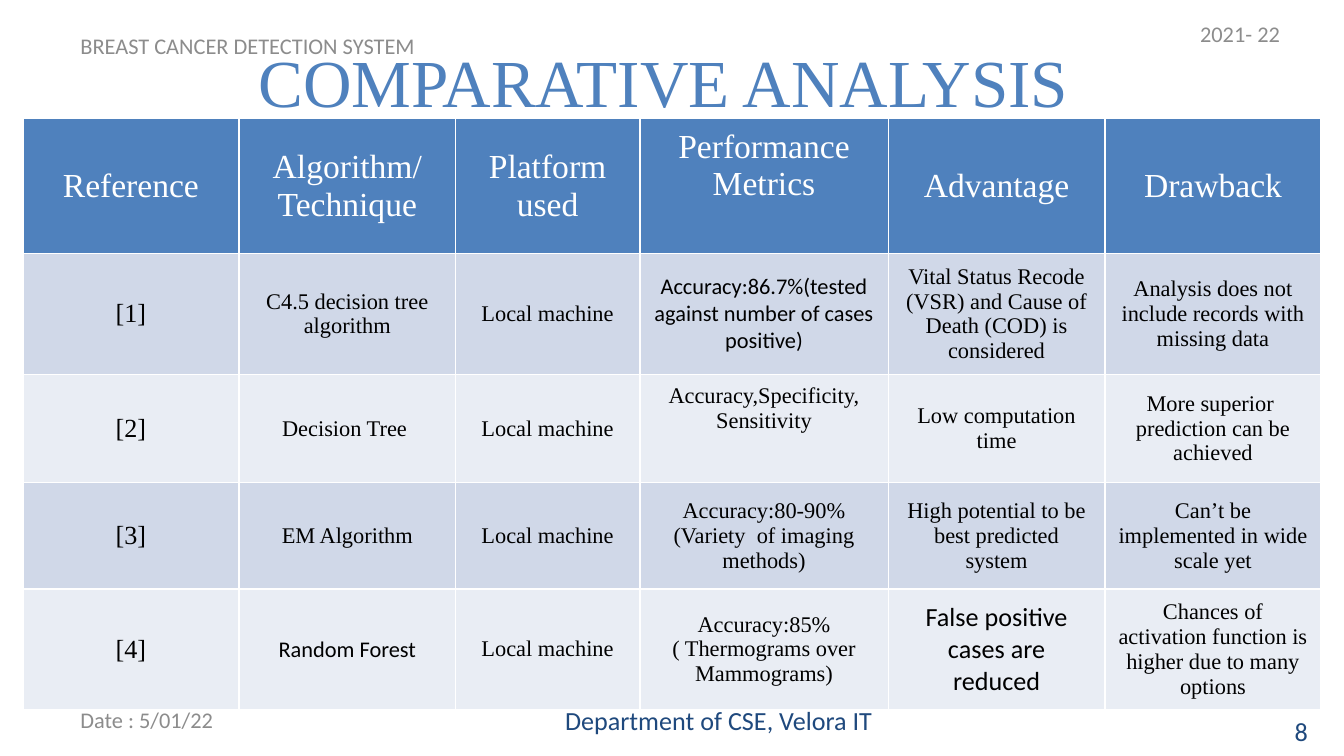
from pptx import Presentation
from pptx.dml.color import RGBColor
from pptx.enum.text import MSO_ANCHOR, MSO_AUTO_SIZE, PP_ALIGN
from pptx.util import Cm, Pt

LEFT, CENTER, RIGHT = PP_ALIGN.LEFT, PP_ALIGN.CENTER, PP_ALIGN.RIGHT
MIDDLE = MSO_ANCHOR.MIDDLE
NO_AUTOFIT = MSO_AUTO_SIZE.NONE
SERIF, SANS = "Times New Roman", "Calibri"
BLUE, NAVY, GRAY, WHITE, BLACK = "4F81BD", "1F497D", "8C8C8C", "FFFFFF", "000000"
BANDS = ("D0D8E8", "E9EDF4")

TITLE = "COMPARATIVE ANALYSIS "
# text, (left, top, width, height) in cm, alignment, size, colour
LABELS = [
    ("BREAST CANCER DETECTION SYSTEM", (1.27, 0.58, 7.82, 0.56), LEFT, 12, GRAY),
    ("2021- 22", (22.43, 0.15, 2.74, 0.97), LEFT, 12, GRAY),
    ("Date : 5/01/22", (1.27, 13.23, 5.92, 0.76), LEFT, 12, GRAY),
    ("Department of CSE, Velora IT", (8.69, 13.23, 8.05, 0.76), RIGHT, 14, NAVY),
    ("8", (21.95, 13.44, 3.02, 0.76), RIGHT, 14, NAVY),
]
ROWS = [
    ("Reference", "Algorithm/ Technique", "Platform used",
     "Performance Metrics", "Advantage", "Drawback"),
    ("[1]", "C4.5 decision tree algorithm", "Local machine",
     "Accuracy:86.7%(tested against number of cases positive)",
     "Vital Status Recode (VSR) and Cause of Death (COD) is considered",
     "Analysis does not include records with missing data"),
    ("[2]", "Decision Tree ", "Local machine",
     "Accuracy,Specificity,\nSensitivity", "Low computation time",
     "More superior  prediction can be achieved"),
    ("[3]", "EM Algorithm", "Local machine",
     "Accuracy:80-90%\v(Variety  of imaging methods)",
     "High potential to be best predicted system",
     "Can\u2019t be implemented in wide scale yet"),
    ("[4]", "Random Forest", "Local machine",
     "Accuracy:85%\v( Thermograms over Mammograms)",
     "False positive cases are reduced",
     "Chances of activation function is higher due to many options"),
]
COLUMN_WIDTHS = (4.09, 4.09, 3.48, 4.7, 4.09, 4.09)
ROW_HEIGHTS = (2.51, 2.01, 2.01, 2.01, 2.01)
# Cells that depart from the rule of their row and column
SPECIAL_FONTS = {(1, 3): (SANS, 12), (4, 1): (SANS, 12), (4, 4): (SANS, 14)}
RAISED_CELLS = {(0, 3), (2, 3)}


def rgb(color):
    return RGBColor.from_string(color)


def write(frame, text, font, size, color, align):
    frame.text = text
    for para in frame.paragraphs:
        para.alignment = align
        for span in para.runs:
            span.font.name = font
            span.font.size = Pt(size)
            span.font.bold = False
            span.font.color.rgb = rgb(color)


def cell_font(row, column):
    if row == 0:
        return SERIF, 18
    return SPECIAL_FONTS.get((row, column), (SERIF, 14 if column == 0 else 12))


deck = Presentation()
deck.slide_width, deck.slide_height = Cm(25.4), Cm(14.29)
page = deck.slides.add_slide(deck.slide_layouts[5])

# Title
title = page.shapes.title
title.left, title.top, title.width, title.height = Cm(1.27), Cm(0.58), Cm(22.86), Cm(1.9)
title.text_frame.auto_size = NO_AUTOFIT
title.text_frame.vertical_anchor = MIDDLE
write(title.text_frame, TITLE, SERIF, 36, BLUE, CENTER)

# Header and footer labels
for text, place, align, size, color in LABELS:
    box = page.shapes.add_textbox(*map(Cm, place))
    box.text_frame.word_wrap = True
    box.text_frame.vertical_anchor = MIDDLE
    write(box.text_frame, text, SANS, size, color, align)

# Comparison table
table = page.shapes.add_table(
    len(ROWS), len(COLUMN_WIDTHS), Cm(0.43), Cm(2.24),
    Cm(sum(COLUMN_WIDTHS)), Cm(sum(ROW_HEIGHTS))).table
for column, width in zip(table.columns, COLUMN_WIDTHS):
    column.width = Cm(width)
for table_row, height in zip(table.rows, ROW_HEIGHTS):
    table_row.height = Cm(height)
for r, texts in enumerate(ROWS):
    for c, text in enumerate(texts):
        cell = table.cell(r, c)
        cell.fill.solid()
        cell.fill.fore_color.rgb = rgb(BANDS[(r - 1) % 2] if r else BLUE)
        cell.vertical_anchor = MIDDLE
        if (r, c) in RAISED_CELLS:
            cell.margin_bottom = Cm(0.9)
        font, size = cell_font(r, c)
        write(cell.text_frame, text, font, size, BLACK if r else WHITE, CENTER)

deck.save("out.pptx")
